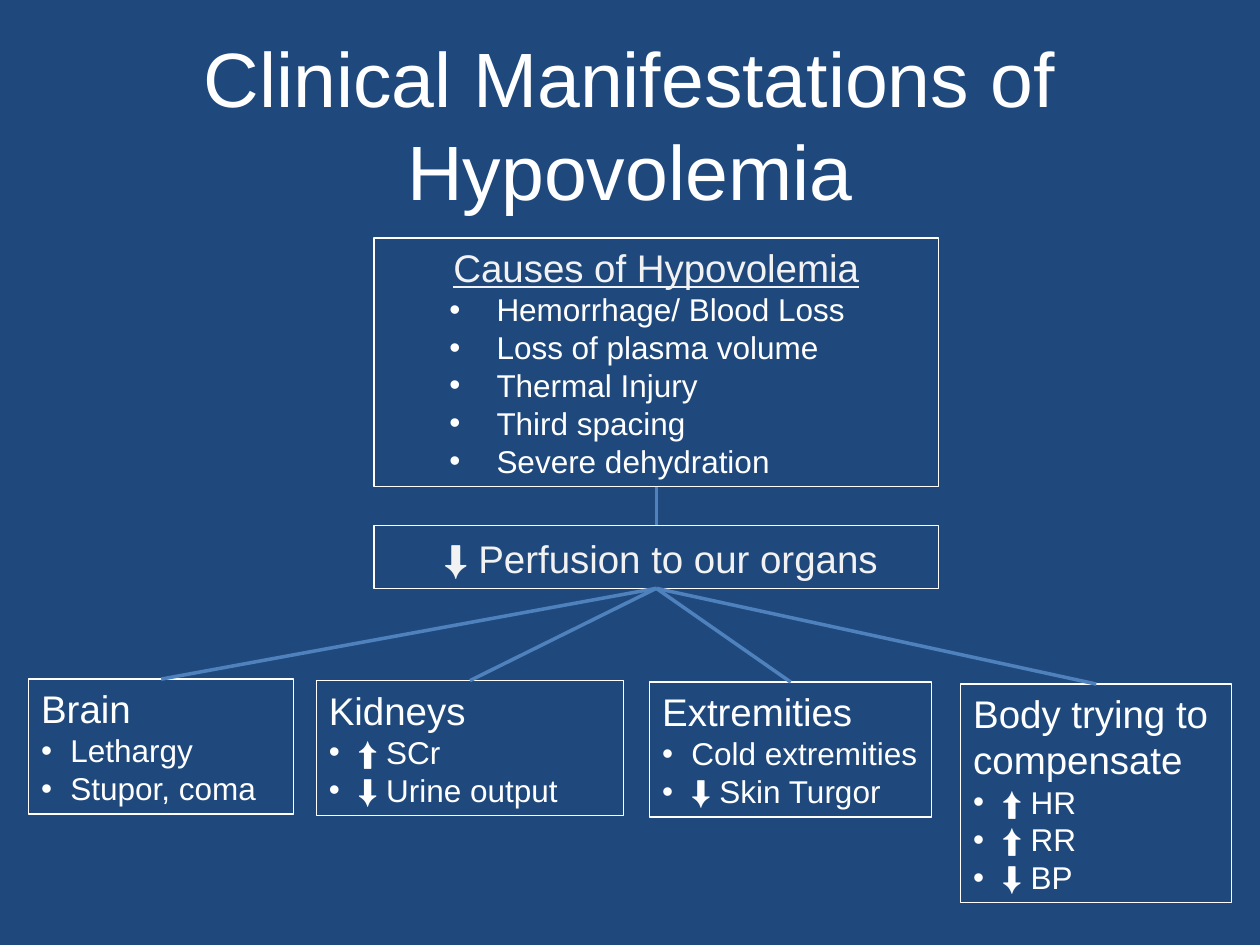
import dataclasses

import lxml.etree
import pptx
import pptx.dml.color
import pptx.enum.shapes
import pptx.enum.text
import pptx.oxml.ns
import pptx.util

Cm = pptx.util.Cm
ALIGN = pptx.enum.text.PP_ALIGN
ANCHOR = pptx.enum.text.MSO_ANCHOR
TOP_SITE, BOTTOM_SITE = 0, 2


@dataclasses.dataclass(frozen=True)
class Theme:
    background: str = "1F497D"
    text: str = "FFFFFF"
    soft_text: str = "F2F2F2"
    connector: str = "4F81BD"
    font: str = "Arial"
    spacer_font: str = "Calibri"
    title_size: int = 44
    spacer_size: int = 24
    heading_size: int = 22
    body_size: int = 18
    border_width: float = 0.75
    connector_width: float = 2


def rgb(value):
    return pptx.dml.color.RGBColor.from_string(value)


class SlideBuilder:
    def __init__(self, slide, theme):
        self.slide = slide
        self.theme = theme
        slide.background.fill.solid()
        slide.background.fill.fore_color.rgb = rgb(theme.background)

    def format_run(self, run, size, color, font=None, underline=None):
        run.font.name = font or self.theme.font
        run.font.size = pptx.util.Pt(size)
        run.font.color.rgb = rgb(color)
        run.font.underline = underline

    def title(self, text, left, top, width, height):
        shape = self.slide.shapes.add_textbox(Cm(left), Cm(top), Cm(width), Cm(height))
        frame = shape.text_frame
        frame.word_wrap = True
        frame.vertical_anchor = ANCHOR.MIDDLE
        frame.text = text
        frame.paragraphs[0].alignment = ALIGN.CENTER
        self.format_run(frame.paragraphs[0].runs[0], self.theme.title_size, self.theme.text)

    def box(self, heading, left, top, width, height, color=None,
            align=ALIGN.LEFT, underline=None):
        shape = self.slide.shapes.add_shape(
            pptx.enum.shapes.MSO_SHAPE.RECTANGLE, Cm(left), Cm(top), Cm(width), Cm(height))
        shape.shadow.inherit = False
        shape.fill.background()
        shape.line.color.rgb = rgb(self.theme.text)
        shape.line.width = pptx.util.Pt(self.theme.border_width)
        frame = shape.text_frame
        frame.word_wrap = True
        frame.vertical_anchor = ANCHOR.TOP
        frame.text = heading
        paragraph = frame.paragraphs[0]
        paragraph.alignment = align
        for run in paragraph.runs:
            self.format_run(run, self.theme.heading_size, color or self.theme.text,
                            underline=underline)
        return shape

    def bullets(self, shape, items, margin, hanging):
        for item in items:
            paragraph = shape.text_frame.add_paragraph()
            paragraph.text = item
            paragraph.alignment = ALIGN.LEFT
            properties = paragraph._p.get_or_add_pPr()
            properties.set("marL", str(Cm(margin)))
            properties.set("indent", str(-Cm(hanging)))
            qn = pptx.oxml.ns.qn
            bullet_color = lxml.etree.SubElement(properties, qn("a:buClr"))
            lxml.etree.SubElement(bullet_color, qn("a:srgbClr"), val=self.theme.text)
            lxml.etree.SubElement(properties, qn("a:buFont"), typeface=self.theme.font)
            lxml.etree.SubElement(properties, qn("a:buChar"), char="•")
            self.format_run(paragraph.runs[0], self.theme.body_size, self.theme.text)

    def connect(self, upper, lower):
        connector = self.slide.shapes.add_connector(
            pptx.enum.shapes.MSO_CONNECTOR.STRAIGHT, 0, 0, 0, 0)
        connector.begin_connect(upper, BOTTOM_SITE)
        connector.end_connect(lower, TOP_SITE)
        connector.line.color.rgb = rgb(self.theme.connector)
        connector.line.width = pptx.util.Pt(self.theme.connector_width)
        lxml.etree.SubElement(connector._element.spPr, pptx.oxml.ns.qn("a:effectLst"))


def main():
    presentation = pptx.Presentation()
    presentation.slide_width, presentation.slide_height = Cm(25.4), Cm(19.05)
    theme = Theme()
    builder = SlideBuilder(presentation.slides.add_slide(presentation.slide_layouts[6]), theme)

    builder.title("Clinical Manifestations of Hypovolemia", 1.27, 0.76, 22.86, 3.45)

    # Causes
    center_left, center_width = 7.54, 11.38
    causes = builder.box("Causes of Hypovolemia", center_left, 4.8, center_width, 5.01,
                         theme.soft_text, ALIGN.CENTER, underline=True)
    builder.bullets(causes, ["Hemorrhage/ Blood Loss", "Loss of plasma volume",
                             "Thermal Injury", "Third spacing", "Severe dehydration"],
                    2.22, 0.95)

    # Shared effect, set off by a slightly larger leading space
    perfusion = builder.box(" ", center_left, 10.59, center_width, 1.27,
                            theme.soft_text, ALIGN.CENTER)
    paragraph = perfusion.text_frame.paragraphs[0]
    builder.format_run(paragraph.runs[0], theme.spacer_size, theme.soft_text, theme.spacer_font)
    effect = paragraph.add_run()
    effect.text = "⬇ Perfusion to our organs"
    builder.format_run(effect, theme.heading_size, theme.soft_text)

    # Organ effects: heading, left, top, width, height, signs
    organs = [
        ("Brain", 0.58, 13.69, 5.34, 2.72, ["Lethargy", "Stupor, coma"]),
        ("Kidneys", 6.38, 13.72, 6.19, 2.72, ["⬆ SCr", "⬇ Urine output"]),
        ("Extremities", 13.1, 13.75, 5.68, 2.72, ["Cold extremities", "⬇ Skin Turgor"]),
        ("Body trying to compensate", 19.37, 13.79, 5.46, 4.41, ["⬆ HR", "⬆ RR", "⬇ BP"]),
    ]
    builder.connect(causes, perfusion)
    for heading, left, top, width, height, signs in organs:
        organ = builder.box(heading, left, top, width, height)
        builder.bullets(organ, signs, 0.59, 0.59)
        builder.connect(perfusion, organ)

    presentation.save("out.pptx")


if __name__ == "__main__":
    main()
